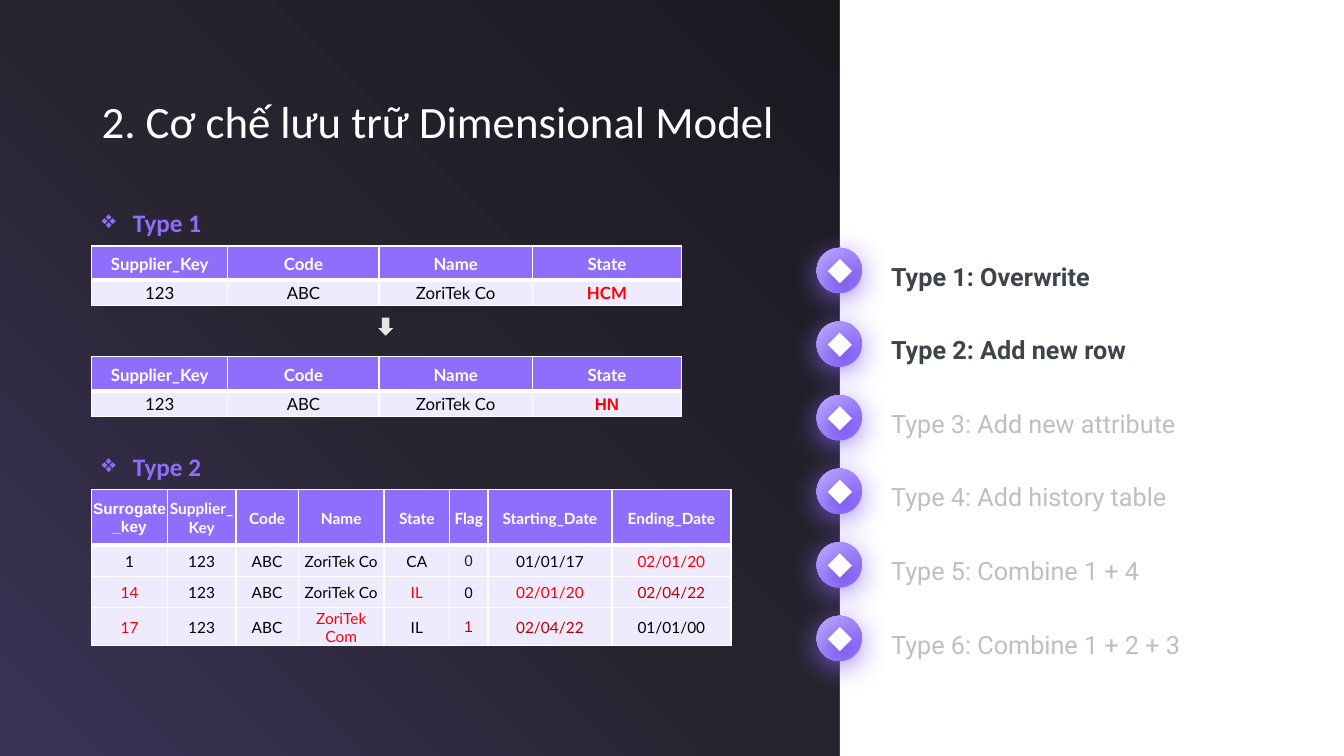
from pptx import Presentation
from pptx.dml.color import RGBColor
from pptx.enum.shapes import MSO_SHAPE
from pptx.enum.text import MSO_ANCHOR, PP_ALIGN
from pptx.oxml import parse_xml
from pptx.oxml.ns import nsdecls, qn
from pptx.util import Inches, Pt

RECTANGLE, OVAL = MSO_SHAPE.RECTANGLE, MSO_SHAPE.OVAL
DIAMOND, DOWN_ARROW = MSO_SHAPE.DIAMOND, MSO_SHAPE.DOWN_ARROW
MIDDLE, CENTER = MSO_ANCHOR.MIDDLE, PP_ALIGN.CENTER

PURPLE, PALE, WHITE, BLACK = "8E6EFA", "EEEBFE", "FFFFFF", "000000"
RED, DARK_RED, DARK_GREY, LIGHT_GREY = "FF0000", "C00000", "3F444A", "BFBFBF"


def color(value):
    return RGBColor.from_string(value)


def set_radial_gradient(fill, element, stops, corner):
    """Spread (percent, colour) stops out of one corner, given as fillToRect attributes."""
    fill.gradient()
    gradient = element.find(".//" + qn("a:gradFill"))
    stop_xml = "".join(
        f'<a:gs pos="{percent * 1000}"><a:srgbClr val="{value}"/></a:gs>'
        for percent, value in stops)
    gradient.getparent().replace(gradient, parse_xml(
        f'<a:gradFill {nsdecls("a")} rotWithShape="1"><a:gsLst>{stop_xml}</a:gsLst>'
        f'<a:path path="circle"><a:fillToRect {corner}/></a:path></a:gradFill>'))


presentation = Presentation()
presentation.slide_width, presentation.slide_height = Inches(13.33), Inches(7.5)
slide = presentation.slides.add_slide(presentation.slide_layouts[6])
set_radial_gradient(slide.background.fill, slide.element,
                    [(0, "3C3359"), (35, "282531"), (100, "121116")], 't="100000" r="100000"')

# White panel and the arrow between the Type 1 tables
for kind, left, top, width, height, fill_color in [
        (RECTANGLE, 8.33, 0, 5, 7.5, WHITE),
        (DOWN_ARROW, 3.75, 3.15, 0.15, 0.18, "E7E6E6")]:
    shape = slide.shapes.add_shape(kind, Inches(left), Inches(top), Inches(width), Inches(height))
    shape.shadow.inherit = False
    shape.fill.solid()
    shape.fill.fore_color.rgb = color(fill_color)
    shape.line.fill.background()

# Title and section headings
title_box = slide.shapes.add_textbox(Inches(0.91), Inches(0.94), Inches(7.57), Inches(0.59))
title_box.text_frame.word_wrap = True
paragraph = title_box.text_frame.paragraphs[0]
paragraph.text = "2. Cơ chế lưu trữ Dimensional Model"
paragraph.line_spacing = 0.9
paragraph.font.name, paragraph.font.size = "Calibri", Pt(32)
paragraph.font.color.rgb = color(WHITE)

for heading, top in [("Type 1", 1.95), ("Type 2", 4.37)]:
    heading_box = slide.shapes.add_textbox(Inches(0.91), Inches(top), Inches(6.1), Inches(0.44))
    heading_box.text_frame.word_wrap = True
    paragraph = heading_box.text_frame.paragraphs[0]
    paragraph.text = heading
    paragraph.line_spacing, paragraph.space_before = 1.2, Pt(12)
    paragraph.font.name, paragraph.font.size, paragraph.font.bold = "Calibri", Pt(18), True
    paragraph.font.color.rgb = color(PURPLE)
    properties = paragraph._p.get_or_add_pPr()
    properties.set("marL", str(Inches(0.31)))
    properties.set("indent", str(-Inches(0.31)))
    bullet = parse_xml(f'<a:buChar {nsdecls("a")} char="❖"/>')
    properties.insert_element_before(bullet, "a:tabLst", "a:defRPr", "a:extLst")

# Type list with diamond badges
types = ["Type 1: Overwrite", "Type 2: Add new row", "Type 3: Add new attribute",
         "Type 4: Add history table", "Type 5: Combine 1 + 4", "Type 6: Combine 1 + 2 + 3"]
for index, label in enumerate(types):
    top = 2.46 + 0.73 * index
    group = slide.shapes.add_group_shape()
    for kind, inset, size, shadow_color, alpha, blur, angle in [
            (OVAL, 0, 0.45, PURPLE, 75, 21, 92),
            (DIAMOND, 0.11, 0.24, "2C06AE", 32, 12, 90)]:
        badge = group.shapes.add_shape(kind, Inches(8.1 + inset), Inches(top + inset),
                                       Inches(size), Inches(size))
        badge.line.fill.background()
        if kind == OVAL:
            set_radial_gradient(badge.fill, badge.element, [(0, "BBA8FC"), (77, PURPLE)],
                                'r="100000" b="100000"')
        else:
            badge.fill.solid()
            badge.fill.fore_color.rgb = color(WHITE)
        badge.shadow.inherit = False
        badge.element.spPr.find(qn("a:effectLst")).append(parse_xml(
            f'<a:outerShdw {nsdecls("a")} blurRad="{Pt(blur)}" dist="{Pt(4)}" '
            f'dir="{angle * 60000}" algn="ctr" rotWithShape="0"><a:srgbClr val="{shadow_color}">'
            f'<a:alpha val="{alpha * 1000}"/></a:srgbClr></a:outerShdw>'))
    label_box = group.shapes.add_textbox(Inches(8.74), Inches(top + 0.08),
                                         Inches(3.43), Inches(0.4))
    label_box.text_frame.word_wrap = True
    paragraph = label_box.text_frame.paragraphs[0]
    paragraph.text = label
    covered = index < 2
    paragraph.font.name, paragraph.font.size, paragraph.font.bold = "Roboto", Pt(18), covered
    paragraph.font.color.rgb = color(DARK_GREY if covered else LIGHT_GREY)

# Tables: a body cell is its text, or (text, colour)
supplier_header = ["Supplier_Key", "Code", "Name", "State"]
supplier_widths = [1.35, 1.5, 1.52, 1.48]
history_header = ["Surrogate_key", "Supplier_Key", "Code", "Name", "State", "Flag",
                  "Starting_Date", "Ending_Date"]
history_rows = [
    ["1", "123", "ABC", "ZoriTek Co", "CA", ("0", "212121"), "01/01/17", ("02/01/20", RED)],
    [("14", RED), "123", "ABC", "ZoriTek Co", ("IL", RED), "0",
     ("02/01/20", RED), ("02/04/22", DARK_RED)],
    [("17", RED), "123", "ABC", ("ZoriTek Com", RED), "IL", ("1", DARK_RED),
     ("02/04/22", DARK_RED), "01/01/00"],
]
# top, font size, column widths, row heights, rows, Arial cells, bold body cells
tables = [
    (2.44, 12, supplier_widths, [0.34, 0.25],
     [supplier_header, ["123", "ABC", "ZoriTek Co", ("HCM", RED)]], [], [(1, 3)]),
    (3.54, 12, supplier_widths, [0.34, 0.25],
     [supplier_header, ["123", "ABC", "ZoriTek Co", ("HN", RED)]], [(1, 3)], [(1, 3)]),
    (4.86, 11, [0.75, 0.68, 0.62, 0.85, 0.65, 0.38, 1.23, 1.18], [0.55, 0.31, 0.31, 0.31],
     [history_header] + history_rows, [(0, 0), (1, 5), (2, 5), (3, 5)], []),
]
for top, font_size, widths, heights, rows, arial_cells, bold_cells in tables:
    table = slide.shapes.add_table(len(rows), len(widths), Inches(0.91), Inches(top),
                                   Inches(sum(widths)), Inches(sum(heights))).table
    table.first_row = table.horz_banding = False
    for column, width in zip(table.columns, widths):
        column.width = Inches(width)
    for row_index, (row, height) in enumerate(zip(rows, heights)):
        table.rows[row_index].height = Inches(height)
        is_header = row_index == 0
        for column_index, content in enumerate(row):
            default_color = WHITE if is_header else BLACK
            text, text_color = content if isinstance(content, tuple) else (content, default_color)
            position = (row_index, column_index)
            cell = table.cell(*position)
            cell.vertical_anchor = MIDDLE
            cell.margin_left = cell.margin_right = cell.margin_top = Inches(0.01)
            cell.margin_bottom = 0
            border_widths = {"lnL": 1, "lnR": 1, "lnT": 3 if row_index == 1 else 1,
                             "lnB": 3 if is_header else 1}
            for side, points in border_widths.items():
                cell._tc.get_or_add_tcPr().append(parse_xml(
                    f'<a:{side} {nsdecls("a")} w="{Pt(points)}"><a:solidFill>'
                    f'<a:srgbClr val="{WHITE}"/></a:solidFill></a:{side}>'))
            cell.fill.solid()
            cell.fill.fore_color.rgb = color(PURPLE if is_header else PALE)
            paragraph = cell.text_frame.paragraphs[0]
            paragraph.text = text
            paragraph.alignment = CENTER
            paragraph.font.name = "Arial" if position in arial_cells else "Lato"
            paragraph.font.size = Pt(font_size)
            paragraph.font.bold = is_header or position in bold_cells
            paragraph.font.color.rgb = color(text_color)

presentation.save("out.pptx")
